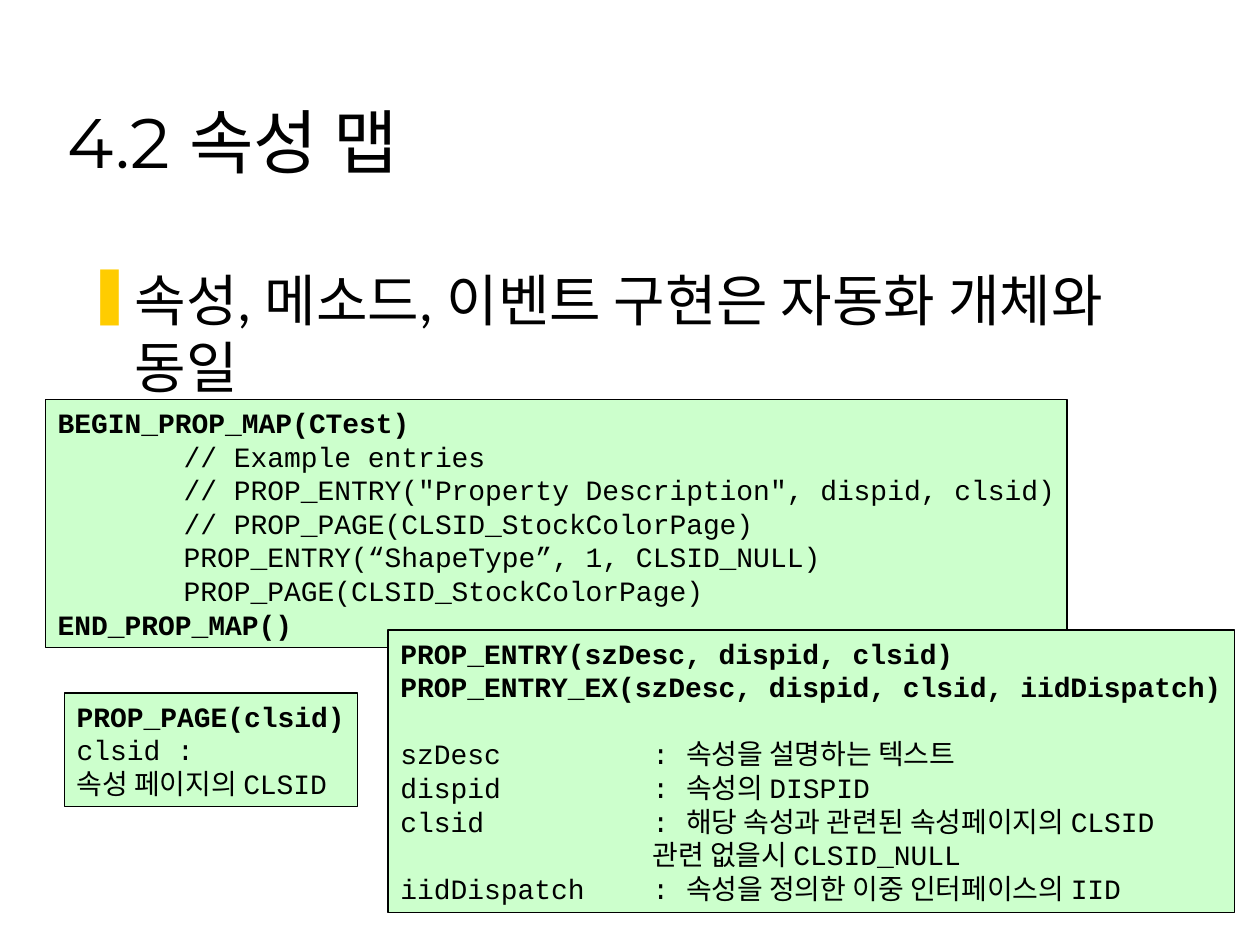
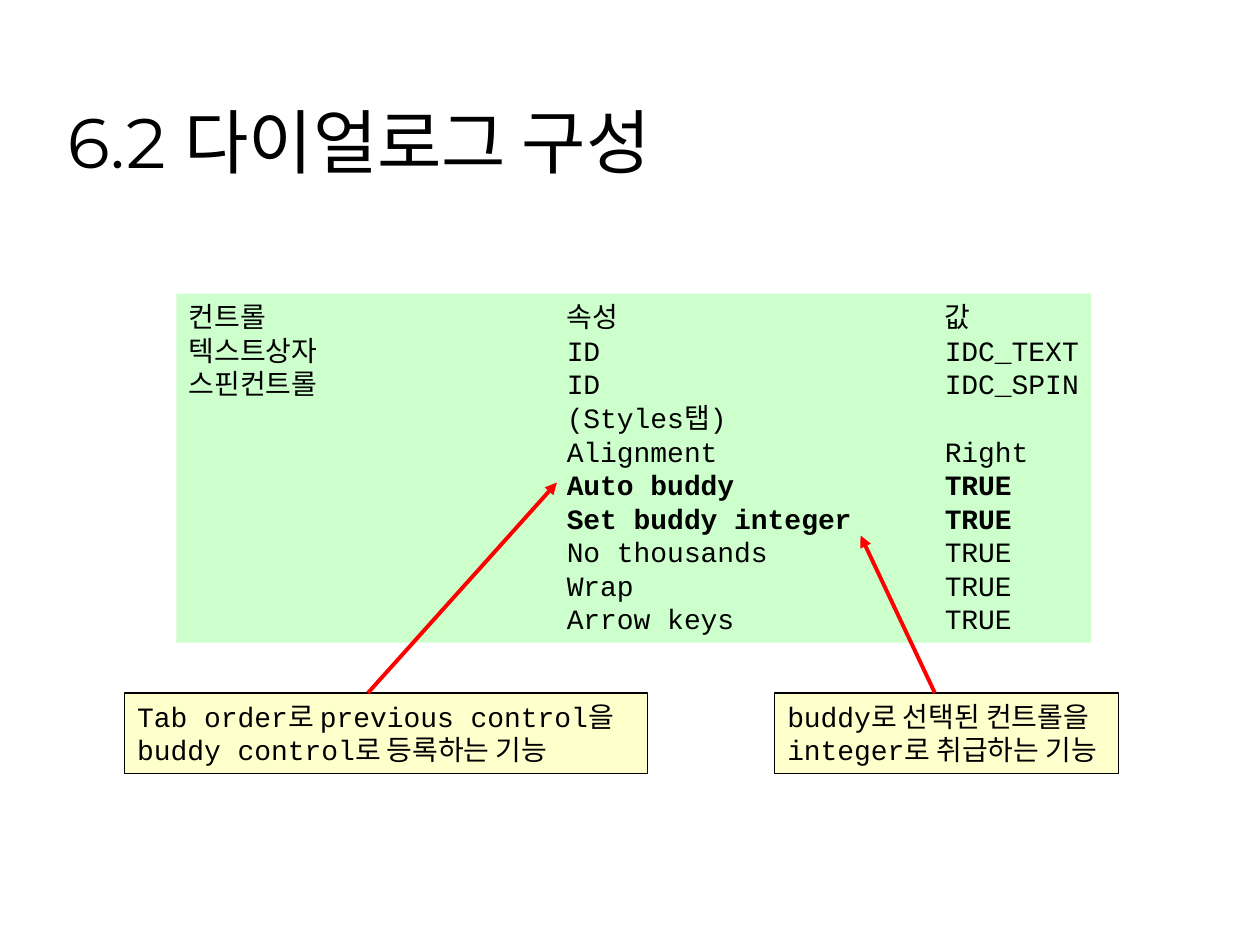
from lxml.etree import SubElement
from pptx import Presentation
from pptx.dml.color import RGBColor
from pptx.enum.shapes import MSO_CONNECTOR, MSO_SHAPE
from pptx.enum.text import MSO_ANCHOR, MSO_AUTO_SIZE, PP_ALIGN
from pptx.oxml.ns import qn
from pptx.util import Inches, Pt

COLORS = {
    "ink": "000000",
    "bullet": "FFCC00",
    "code": "CCFFCC",
    "note": "FFFFCC",
    "arrow": "FF0000",
}
FONTS = {"title": "Montserrat", "body": "Lato", "code": "Courier New"}


def color(name):
    return RGBColor.from_string(COLORS[name])


class Deck:
    def __init__(self):
        self.prs = Presentation()
        self.prs.slide_width = Inches(10)
        self.prs.slide_height = Inches(7.5)
        self.slide = None

    def start(self, title):
        """Add a slide with its title."""
        self.slide = self.prs.slides.add_slide(self.prs.slide_layouts[6])
        frame = self.text((0.44, 0.25, 9.14, 1.25), title, "title", 40)
        frame.vertical_anchor = MSO_ANCHOR.BOTTOM

    def style(self, para, font, size, bold=False):
        for run in para.runs:
            run.font.name = FONTS[font]
            run.font.size = Pt(size)
            run.font.bold = bold
            run.font.color.rgb = color("ink")

    def text(self, area, words, font, size):
        box = self.slide.shapes.add_textbox(*map(Inches, area))
        frame = box.text_frame
        frame.word_wrap = True
        frame.text = words
        self.style(frame.paragraphs[0], font, size)
        return frame

    def bullet(self, area, words):
        frame = self.text(area, words, "body", 32)
        props = frame.paragraphs[0]._p.get_or_add_pPr()
        props.set("marL", str(Inches(0.47)))
        props.set("indent", str(-Inches(0.38)))
        tint = SubElement(props, qn("a:buClr"))
        SubElement(tint, qn("a:srgbClr"), val=COLORS["bullet"])
        SubElement(props, qn("a:buChar"), char="❚")

    def tabs(self, para, stops):
        group = SubElement(para._p.get_or_add_pPr(), qn("a:tabLst"))
        for stop in stops:
            SubElement(group, qn("a:tab"), pos=str(Inches(stop)), algn="l")

    def panel(self, area, lines, fill="code", bold=(), stops=(), edge=True):
        """Add a filled box; bold holds the indexes of the bold lines."""
        box = self.slide.shapes.add_shape(MSO_SHAPE.RECTANGLE, *map(Inches, area))
        box.shadow.inherit = False
        box.fill.solid()
        box.fill.fore_color.rgb = color(fill)
        if edge:
            box.line.color.rgb = color("ink")
            box.line.width = Pt(0.75)
        else:
            box.line.fill.background()
        frame = box.text_frame
        frame.word_wrap = True
        frame.auto_size = MSO_AUTO_SIZE.NONE
        frame.margin_right = 0  # the longest line fills the box
        frame.vertical_anchor = MSO_ANCHOR.TOP
        frame.text = "\n".join(lines)
        for i, para in enumerate(frame.paragraphs):
            para.alignment = PP_ALIGN.LEFT
            if stops:
                self.tabs(para, stops)
            self.style(para, "code", 16, i in bold)
        return frame

    def arrow(self, start, end):
        line = self.slide.shapes.add_connector(
            MSO_CONNECTOR.STRAIGHT, *map(Inches, start + end))
        line.line.color.rgb = color("arrow")
        line.line.width = Pt(2.25)
        props = line._element.spPr
        SubElement(props.find(qn("a:ln")), qn("a:tailEnd"), type="triangle")
        SubElement(props, qn("a:effectLst"))


def map_slide(deck):
    deck.start("4.2 속성 맵")
    deck.bullet((0.5, 2.06, 8.94, 4.56),
                "속성, 메소드, 이벤트 구현은 자동화 개체와 동일")
    deck.panel((0.36, 3.17, 8.11, 1.97), [
        "BEGIN_PROP_MAP(CTest)",
        "\t// Example entries",
        '\t// PROP_ENTRY("Property Description", dispid, clsid)',
        "\t// PROP_PAGE(CLSID_StockColorPage)",
        "\tPROP_ENTRY(“ShapeType”, 1, CLSID_NULL)",
        "\tPROP_PAGE(CLSID_StockColorPage)",
        "END_PROP_MAP()",
    ], bold=(0, 6), stops=(1,))
    entry = deck.panel((3.08, 5, 6.72, 2.24), [
        "PROP_ENTRY(szDesc, dispid, clsid)",
        "PROP_ENTRY_EX(szDesc, dispid, clsid, iidDispatch)",
        "szDesc\t: 속성을 설명하는 텍스트",
        "dispid\t: 속성의 DISPID",
        "clsid\t: 해당 속성과 관련된 속성페이지의 CLSID",
        "\t관련 없을시 CLSID_NULL",
        "iidDispatch\t: 속성을 정의한 이중 인터페이스의 IID",
    ], bold=(0, 1), stops=(2,))
    entry.paragraphs[2].space_before = Pt(19.2)
    deck.panel((0.51, 5.5, 2.33, 0.9), [
        "PROP_PAGE(clsid)", "clsid :", "속성 페이지의 CLSID",
    ], bold=(0,))


def dialog_slide(deck):
    deck.start("6.2 다이얼로그 구성")
    rows = [
        ("컨트롤", "속성", "값"),
        ("텍스트상자", "ID", "IDC_TEXT"),
        ("스핀컨트롤", "ID", "IDC_SPIN"),
        ("", "(Styles탭)"),
        ("", "Alignment", "Right"),
    ]
    flags = ("Auto buddy", "Set buddy integer", "No thousands", "Wrap", "Arrow keys")
    rows += [("", flag, "TRUE") for flag in flags]
    deck.panel((1.4, 2.33, 7.26, 2.77), ["\t".join(row) for row in rows],
               bold=(5, 6), stops=(3, 6), edge=False)
    notes = [
        (0.99, 4.15, ["Tab order로 previous control을", "buddy control로 등록하는 기능"],
         (2.92, 5.5), (4.42, 3.83)),
        (6.15, 2.73, ["buddy로 선택된 컨트롤을", "integer로 취급하는 기능"],
         (7.42, 5.5), (6.83, 4.25)),
    ]
    for left, width, lines, start, end in notes:
        deck.panel((left, 5.5, width, 0.64), lines, fill="note")
        deck.arrow(start, end)


def main():
    deck = Deck()
    map_slide(deck)
    dialog_slide(deck)
    deck.prs.save("out.pptx")


if __name__ == "__main__":
    main()
